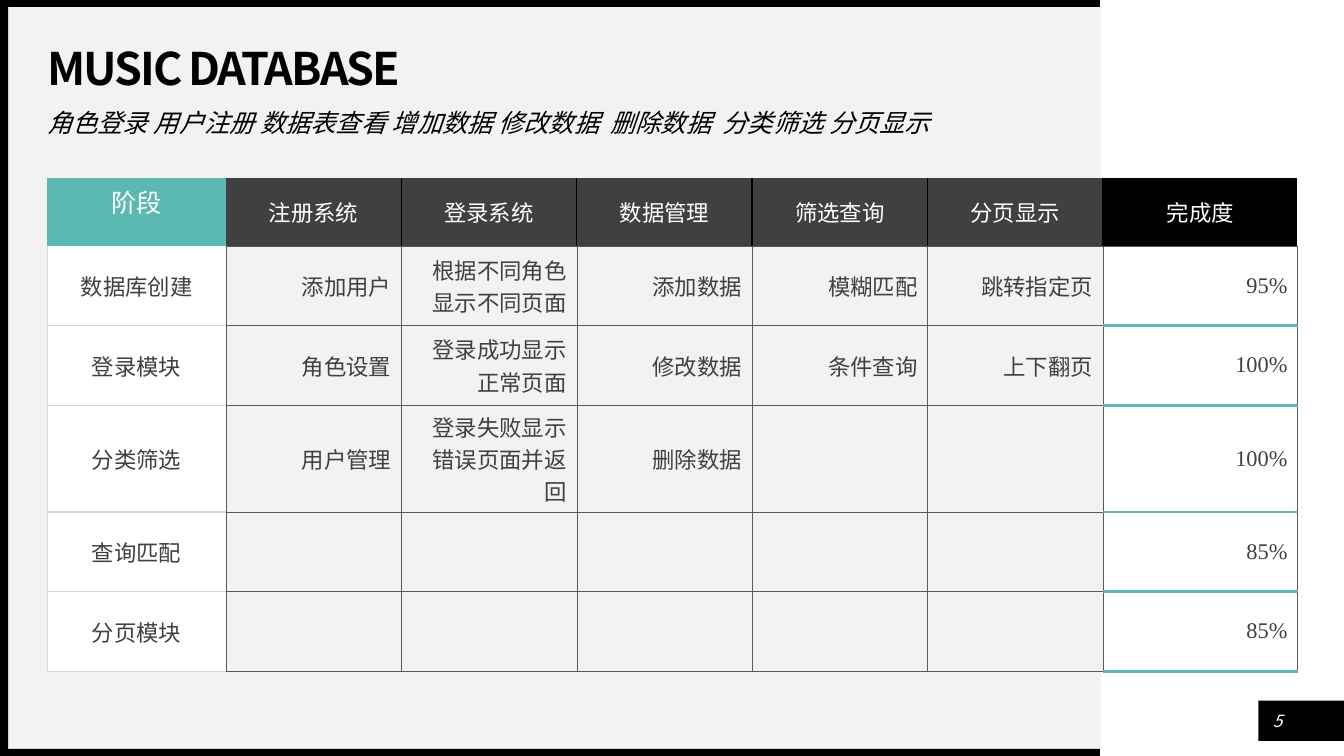
"""Build the music database progress slide."""
import pptx
import pptx.util
import pptx.dml.color
import pptx.enum.shapes
import pptx.enum.text
import pptx.oxml

Inches = pptx.util.Inches
Pt = pptx.util.Pt
ALIGN = pptx.enum.text.PP_ALIGN
ANCHOR = pptx.enum.text.MSO_ANCHOR

COLORS = {
    "black": "000000", "white": "FFFFFF", "panel": "F2F2F2", "teal": "5CB8B3",
    "dark": "404040", "grid": "595959", "pale": "D9D9D9",
}
SANS, SERIF = "Noto Sans CJK SC", "Times New Roman"
NO_STYLE = "{2D5ABB26-0587-4C30-8999-92F81FD0307C}"

BLOCKS = [
    ("panel", 0.08, 0.07, 10.84, 7.36),
    ("black", 12.48, 6.95, 0.86, 0.4),
    ("black", 0, 7.43, 10.91, 0.07),
    ("black", 0, 0, 10.91, 0.07),
    ("black", 0, 0.03, 0.08, 7.47),
]
TITLE = "MUSIC DATABASE"
SUBTITLE = "角色登录 用户注册 数据表查看 增加数据 修改数据  删除数据  分类筛选 分页显示"
PAGE_NUMBER = "5"
ROWS = [
    ["阶段", "注册系统", "登录系统", "数据管理", "筛选查询", "分页显示", "完成度"],
    ["数据库创建", "添加用户", "根据不同角色显示不同页面", "添加数据", "模糊匹配", "跳转指定页", "95%"],
    ["登录模块", "角色设置", "登录成功显示正常页面", "修改数据", "条件查询", "上下翻页", "100%"],
    ["分类筛选", "用户管理", "登录失败显示错误页面并返回", "删除数据", "", "", "100%"],
    ["查询匹配", "", "", "", "", "", "85%"],
    ["分页模块", "", "", "", "", "", "85%"],
]
COLUMN_WIDTHS = [1.77] + [1.74] * 5 + [1.93]
ROW_HEIGHTS = [0.67, 0.79, 0.79, 1.06, 0.79, 0.79]
LAST = len(COLUMN_WIDTHS) - 1


def rgb(name):
    return pptx.dml.color.RGBColor.from_string(COLORS[name])


def add_span(para, text, color, spacing=0, **font):
    span = para.add_run()
    span.text = text
    for key, value in font.items():
        setattr(span.font, key, value)
    span.font.color.rgb = rgb(color)
    if spacing:
        span.font._element.set("spc", str(round(spacing * 100)))


def set_frame(frame, **values):
    defaults = dict.fromkeys(("margin_left", "margin_top", "margin_right", "margin_bottom"), 0)
    for key, value in {**defaults, "word_wrap": True, **values}.items():
        setattr(frame, key, value)
    return frame


def add_text(page, left, top, width, height, **values):
    box = page.shapes.add_textbox(*map(Inches, (left, top, width, height)))
    return set_frame(box.text_frame, **values)


def cell_look(row, column):
    """Return the fill and the borders of one table cell."""
    grid, black = ("grid", 0.25), ("black", 1)
    if row == 0:
        if column == 0:
            return "teal", {}
        edges = {"B": grid}
        if column > 1:
            edges["L"] = black
        if column < LAST:
            edges["R"] = black
        return ("black" if column == LAST else "dark"), edges
    edges = dict.fromkeys("LRTB", grid)
    if column == 0:
        edges.update(L=("pale", 1), T=("pale", 1), B=("pale", 1))
        if row == 1:
            del edges["T"]
        return "white", edges
    if column == LAST:
        edges["B"] = ("teal", 2.25)
        if row > 1:
            edges["T"] = ("teal", 2.25)
        return None, edges
    return ("panel" if column == LAST - 1 else None), edges


def set_borders(cell, edges):
    properties = cell._tc.get_or_add_tcPr()
    drawn = [side for side in "LRTB" if side in edges]
    for position, side in enumerate(drawn):
        color, width = edges[side]
        properties.insert(position, pptx.oxml.parse_xml(
            f'<a:ln{side} xmlns:a="http://schemas.openxmlformats.org/drawingml/2006/main" '
            f'w="{Pt(width)}"><a:solidFill><a:srgbClr val="{COLORS[color]}"/></a:solidFill></a:ln{side}>'))


def fill_cell(cell, row, column, text):
    fill, edges = cell_look(row, column)
    if fill:
        cell.fill.solid()
        cell.fill.fore_color.rgb = rgb(fill)
    else:
        cell.fill.background()
    set_borders(cell, edges)
    corner = row == column == 0
    cell.vertical_anchor = ANCHOR.TOP if corner else ANCHOR.MIDDLE
    para = cell.text_frame.paragraphs[0]
    para.alignment = ALIGN.CENTER if row == 0 or column == 0 else ALIGN.RIGHT
    if text:
        add_span(para, text, "dark" if row else "white", size=Pt(18 if corner else 16),
                 name="Arial" if row == 0 and column else SERIF)


def add_progress_table(page):
    frame = page.shapes.add_table(len(ROWS), len(COLUMN_WIDTHS), Inches(0.47), Inches(1.77),
                                  Inches(sum(COLUMN_WIDTHS)), Inches(sum(ROW_HEIGHTS)))
    table = frame.table
    table.horz_banding = False
    table._tbl.tblPr[0].text = NO_STYLE
    for column, width in zip(table.columns, COLUMN_WIDTHS):
        column.width = Inches(width)
    for row, height in zip(table.rows, ROW_HEIGHTS):
        row.height = Inches(height)
    for row, texts in enumerate(ROWS):
        for column, text in enumerate(texts):
            fill_cell(table.cell(row, column), row, column, text)


def main():
    deck = pptx.Presentation()
    deck.slide_width, deck.slide_height = Inches(13.33), Inches(7.5)
    page = deck.slides.add_slide(deck.slide_layouts[5])

    for color, *place in BLOCKS:
        block = page.shapes.add_shape(pptx.enum.shapes.MSO_SHAPE.RECTANGLE, *map(Inches, place))
        block.shadow.inherit = False
        block.fill.solid()
        block.fill.fore_color.rgb = rgb(color)
        block.line.fill.background()

    title = page.shapes.title
    block.element.getparent().append(title.element)
    for key, value in dict(left=0.47, top=0.47, width=10.06, height=0.47).items():
        setattr(title, key, Inches(value))
    para = set_frame(title.text_frame, vertical_anchor=ANCHOR.MIDDLE,
                     auto_size=pptx.enum.text.MSO_AUTO_SIZE.NONE).paragraphs[0]
    para.alignment, para.line_spacing = ALIGN.LEFT, 0.9
    add_span(para, TITLE, "black", spacing=-1.5, name=SANS, size=Pt(32), bold=True)

    para = add_text(page, 0.47, 1.1, 10.06, 0.39).paragraphs[0]
    para.line_spacing = 0.9
    add_span(para, SUBTITLE, "black", name=SERIF, size=Pt(18), italic=True)

    add_progress_table(page)

    para = add_text(page, 12.52, 7, 0.3, 0.3, vertical_anchor=ANCHOR.MIDDLE).paragraphs[0]
    para.alignment = ALIGN.CENTER
    add_span(para, PAGE_NUMBER, "white", name=SANS, size=Pt(12), italic=True)

    deck.save("out.pptx")


if __name__ == "__main__":
    main()
